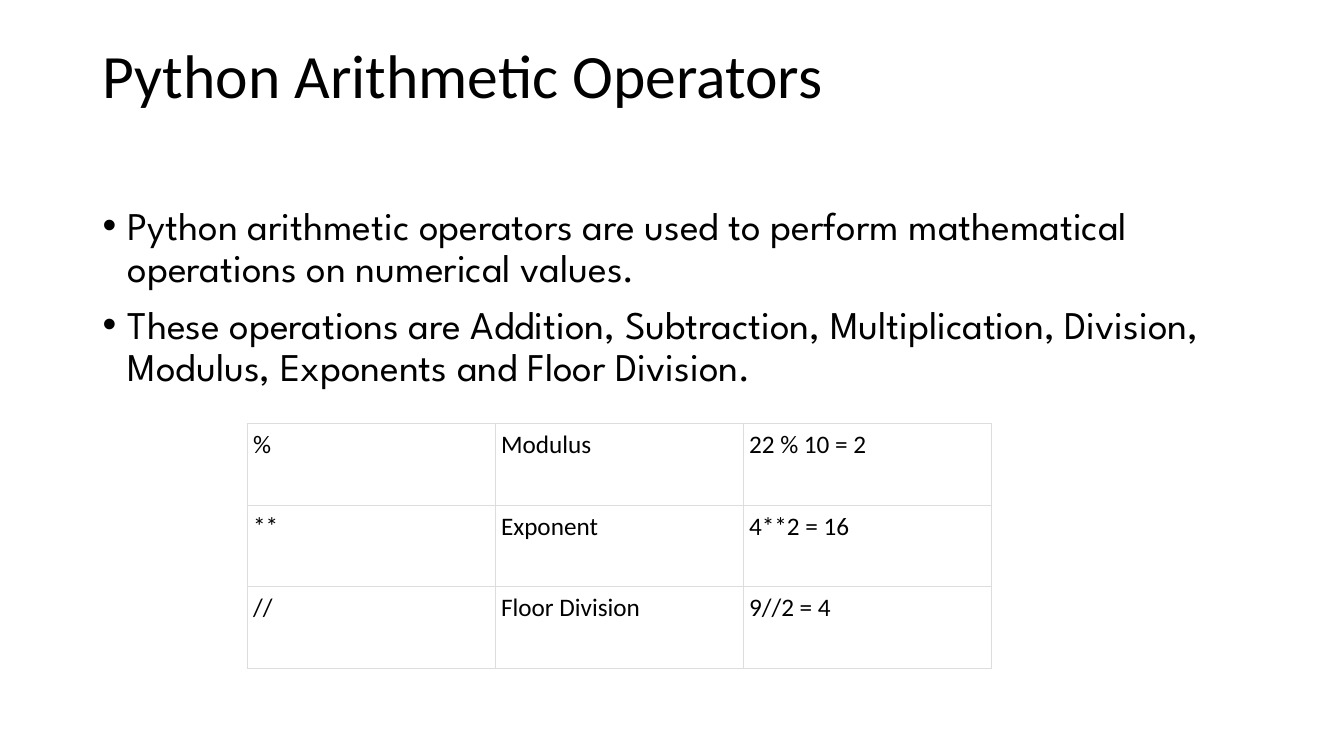
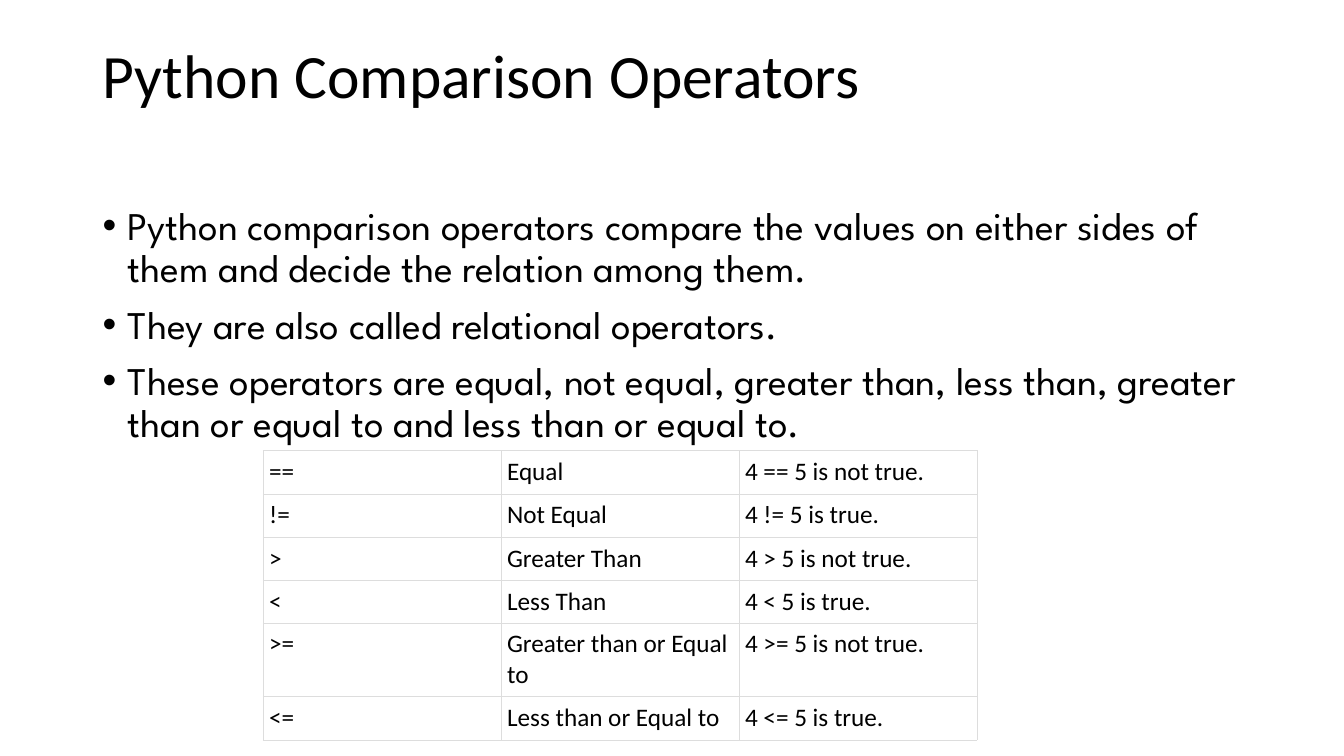
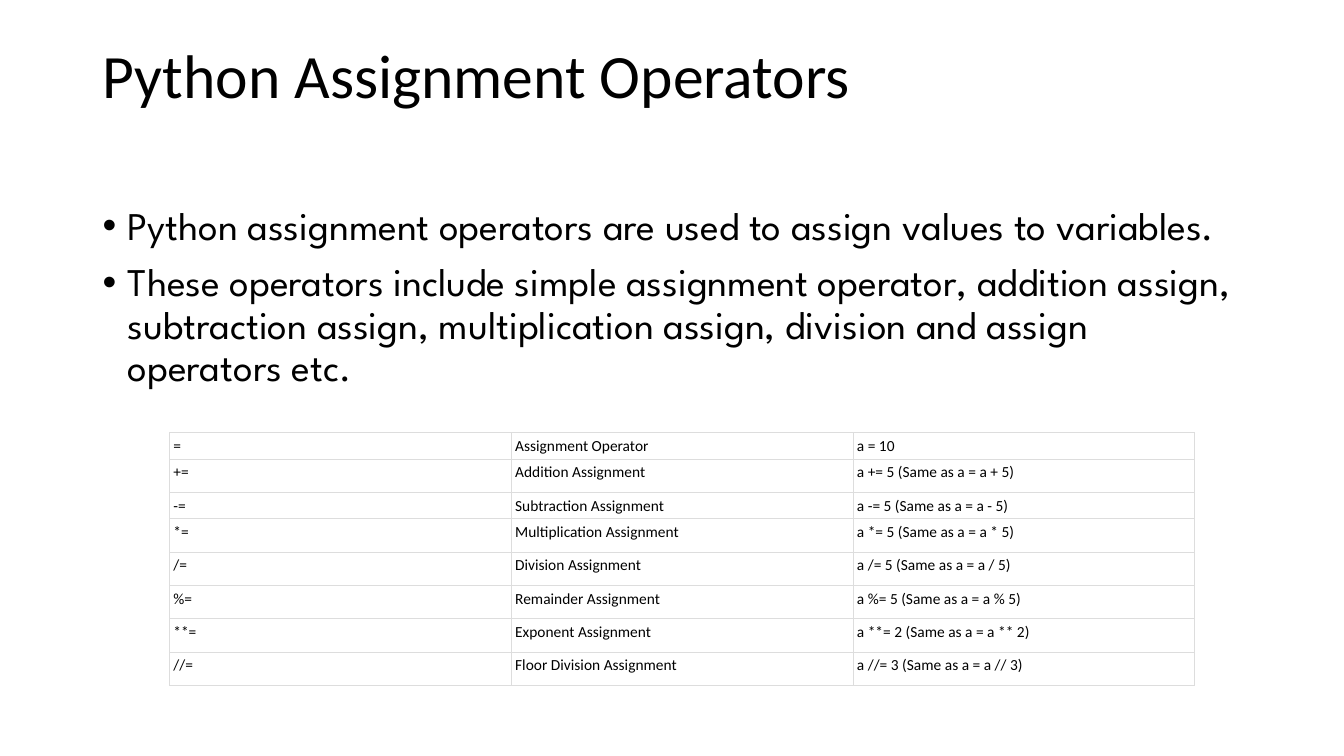
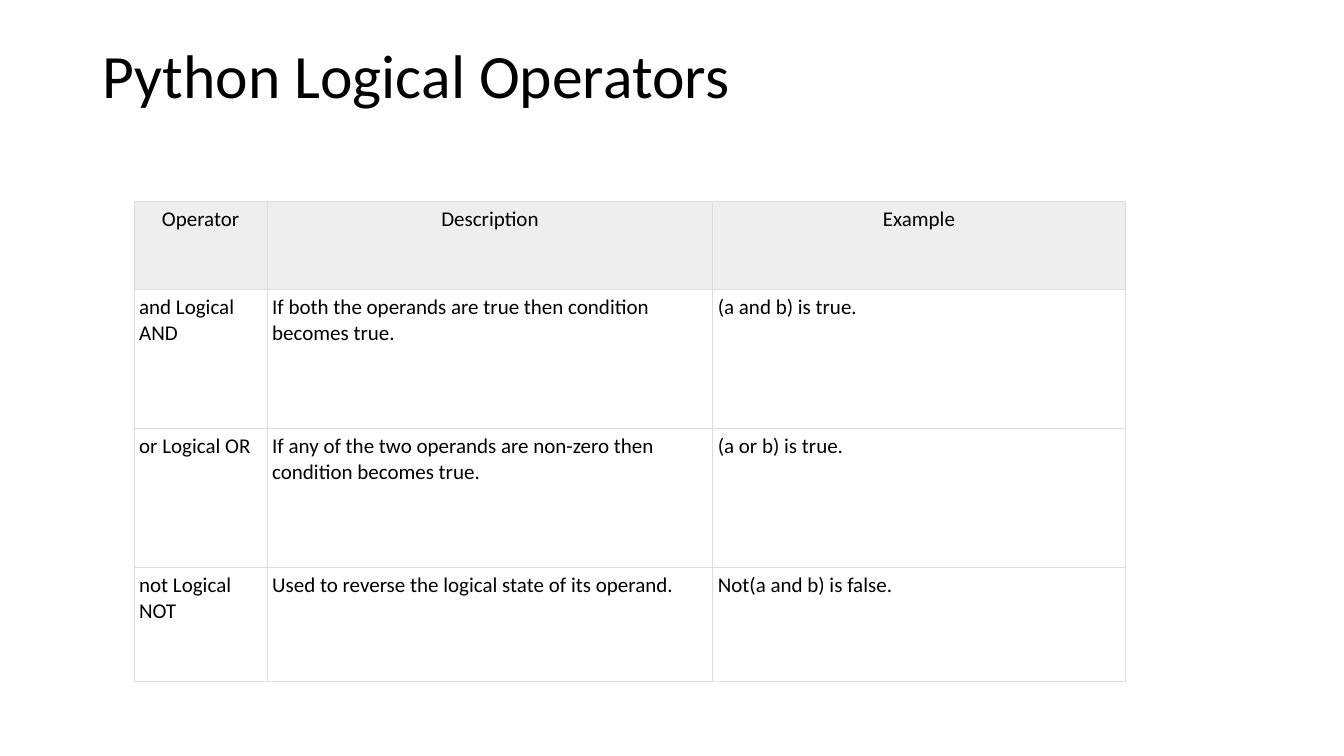
from lxml import etree
from pptx import Presentation
from pptx.dml.color import RGBColor
from pptx.enum.text import MSO_ANCHOR, PP_ALIGN
from pptx.oxml.ns import qn
from pptx.util import Inches, Pt

BLACK = RGBColor(0x00, 0x00, 0x00)
BORDER_GREY = RGBColor(0xDD, 0xDD, 0xDD)
HEADER_GREY = RGBColor(0xEE, 0xEE, 0xEE)
TOP = MSO_ANCHOR.TOP
LEFT, CENTER = PP_ALIGN.LEFT, PP_ALIGN.CENTER

TITLE_FONT = {"name": "Calibri", "size": Pt(44)}
BODY_FONT = {"name": "League Spartan", "size": Pt(28)}
CELL_FONT = {"name": "Calibri", "bold": False}

ARITHMETIC = [
    ("%", "Modulus", "22 % 10 = 2"),
    ("**", "Exponent", "4**2 = 16"),
    ("//", "Floor Division", "9//2 = 4"),
]
COMPARISON = [
    ("==", "Equal", "4 == 5 is not true."),
    ("!=", "Not Equal", "4 != 5 is true."),
    (">", "Greater Than", "4 > 5 is not true."),
    ("<", "Less Than", "4 < 5 is true."),
    (">=", "Greater than or Equal to", "4 >= 5 is not true."),
    ("<=", "Less than or Equal to", "4 <= 5 is true."),
]
ASSIGNMENT = [
    ("=", "Assignment Operator", "a = 10"),
    ("+=", "Addition Assignment", "a += 5 (Same as a = a + 5)"),
    ("-=", "Subtraction Assignment", "a -= 5 (Same as a = a - 5)"),
    ("*=", "Multiplication Assignment", "a *= 5 (Same as a = a * 5)"),
    ("/=", "Division Assignment", "a /= 5 (Same as a = a / 5)"),
    ("%=", "Remainder Assignment", "a %= 5 (Same as a = a % 5)"),
    ("**=", "Exponent Assignment", "a **= 2 (Same as a = a ** 2)"),
    ("//=", "Floor Division Assignment", "a //= 3 (Same as a = a // 3)"),
]
LOGICAL = [
    ("Operator", "Description", "Example"),
    ("and Logical AND",
     "If both the operands are true then condition becomes true.",
     "(a and b) is true."),
    ("or Logical OR",
     "If any of the two operands are non-zero then condition becomes true.",
     "(a or b) is true."),
    ("not Logical NOT",
     "Used to reverse the logical state of its operand.",
     "Not(a and b) is false."),
]


def set_font(paragraph, **values):
    for name, value in values.items():
        setattr(paragraph.font, name, value)
    paragraph.font.color.rgb = BLACK


def add_bullet(paragraph):
    properties = paragraph._p.get_or_add_pPr()
    properties.set("marL", str(Inches(0.25)))
    properties.set("indent", str(-Inches(0.25)))
    etree.SubElement(properties, qn("a:buFont"), typeface="Arial")
    etree.SubElement(properties, qn("a:buChar"), char="•")


def add_borders(cell):
    properties = cell._tc.get_or_add_tcPr()
    for index, side in enumerate(("lnL", "lnR", "lnT", "lnB")):
        line = etree.Element(qn(f"a:{side}"), w=str(Pt(0.5)))
        fill = etree.SubElement(line, qn("a:solidFill"))
        etree.SubElement(fill, qn("a:srgbClr"), val=str(BORDER_GREY))
        properties.insert(index, line)


class OperatorDeck:
    def __init__(self):
        self.presentation = Presentation()
        self.presentation.slide_width = Inches(13.33)
        self.presentation.slide_height = Inches(7.5)
        self.slide = None

    def start_slide(self, title):
        layout = self.presentation.slide_layouts[6]
        self.slide = self.presentation.slides.add_slide(layout)
        frame = self.add_text_frame(0.4, 1.45)
        paragraph = frame.paragraphs[0]
        paragraph.text = title
        paragraph.line_spacing = 0.9
        set_font(paragraph, **TITLE_FONT)

    def add_text_frame(self, top, height):
        box = self.slide.shapes.add_textbox(
            Inches(0.92), Inches(top), Inches(11.5), Inches(height))
        frame = box.text_frame
        frame.word_wrap = True
        frame.vertical_anchor = TOP
        return frame

    def add_bullets(self, height, texts):
        frame = self.add_text_frame(2, height)
        for index, text in enumerate(texts):
            paragraph = frame.add_paragraph() if index else frame.paragraphs[0]
            paragraph.text = text
            paragraph.line_spacing = 0.9
            paragraph.space_before = Pt(10 if index else 0)
            add_bullet(paragraph)
            set_font(paragraph, **BODY_FONT)

    def add_table(self, left, top, widths, heights, rows, size, inset,
                  has_header=False):
        table = self.slide.shapes.add_table(
            len(rows), len(widths), Inches(left), Inches(top),
            Inches(sum(widths)), Inches(sum(heights))).table
        table.first_row = has_header
        table.horz_banding = False
        for column, width in zip(table.columns, widths):
            column.width = Inches(width)
        for row_index, (row, height) in enumerate(zip(table.rows, heights)):
            row.height = Inches(height)
            is_header = has_header and row_index == 0
            for cell, text in zip(row.cells, rows[row_index]):
                self.fill_cell(cell, text, size, inset, is_header)

    def fill_cell(self, cell, text, size, inset, is_header):
        for side in ("left", "right", "top", "bottom"):
            setattr(cell, f"margin_{side}", Inches(inset))
        if is_header:
            cell.fill.solid()
            cell.fill.fore_color.rgb = HEADER_GREY
        else:
            cell.fill.background()
        add_borders(cell)
        paragraph = cell.text_frame.paragraphs[0]
        paragraph.text = text
        paragraph.alignment = CENTER if is_header else LEFT
        set_font(paragraph, size=Pt(size), **CELL_FONT)


def main():
    deck = OperatorDeck()

    deck.start_slide("Python Arithmetic Operators")
    deck.add_bullets(4.76, [
        "Python arithmetic operators are used to perform mathematical "
        "operations on numerical values.",
        "These operations are Addition, Subtraction, Multiplication, "
        "Division, Modulus, Exponents and Floor Division.",
    ])
    deck.add_table(2.45, 4.2, [2.46] * 3, [0.81] * 3, ARITHMETIC, 18, 0.06)

    deck.start_slide("Python Comparison Operators")
    deck.add_bullets(5.5, [
        "Python comparison operators compare the values on either sides of "
        "them and decide the relation among them.",
        "They are also called relational operators.",
        "These operators are equal, not equal, greater than, less than, "
        "greater than or equal to and less than or equal to.",
    ])
    deck.add_table(2.61, 4.47, [2.36] * 3,
                   [0.43, 0.43, 0.43, 0.42, 0.73, 0.43],
                   COMPARISON, 18, 0.06)

    deck.start_slide("Python Assignment Operators")
    deck.add_bullets(5.41, [
        "Python assignment operators are used to assign values to variables.",
        "These operators include simple assignment operator, addition "
        "assign, subtraction assign, multiplication assign, division and "
        "assign operators etc.",
    ])
    deck.add_table(1.68, 4.29, [3.39] * 3,
                   [0.26, 0.33, 0.26] + [0.33] * 5, ASSIGNMENT, 11, 0.04)

    deck.start_slide("Python Logical Operators")
    deck.add_table(1.33, 2, [1.32, 4.42, 4.09], [0.87, 1.38, 1.38, 1.13],
                   LOGICAL, 15, 0.05, has_header=True)

    deck.presentation.save("out.pptx")


if __name__ == "__main__":
    main()
